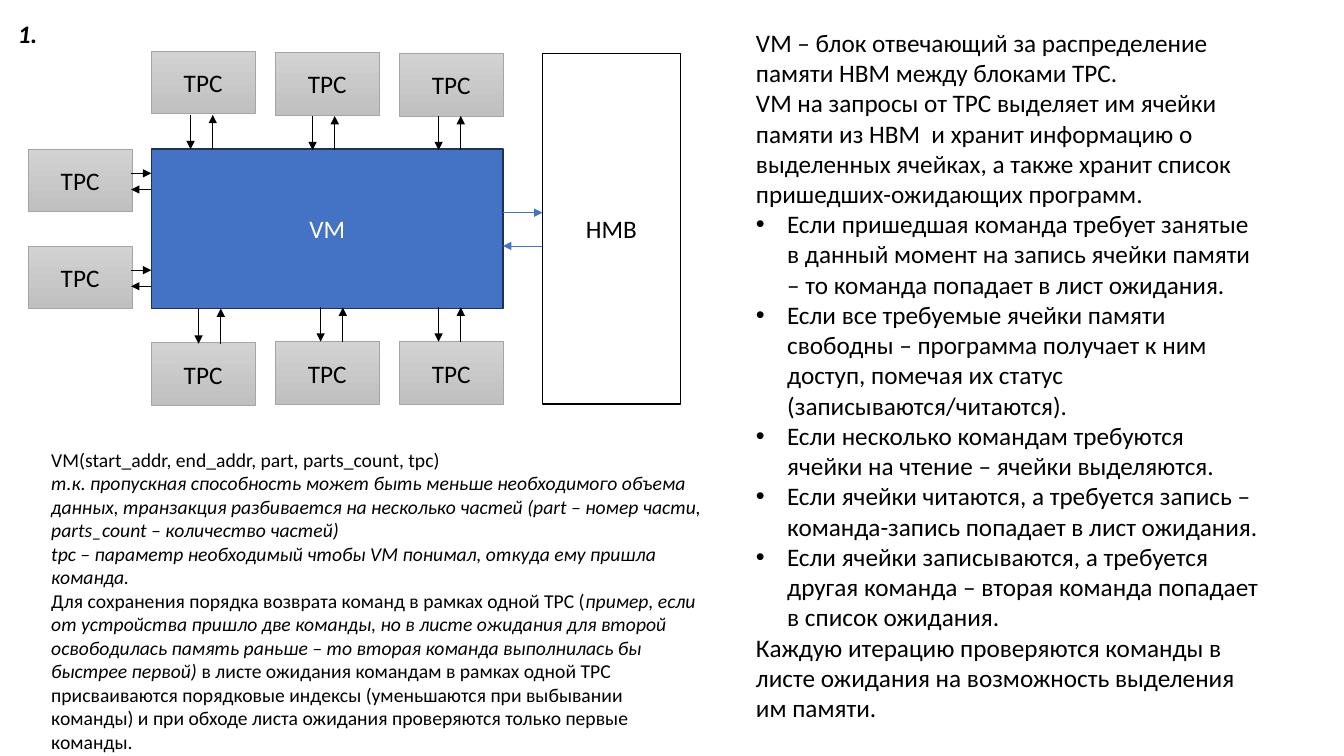
from lxml.etree import SubElement
from pptx import Presentation
from pptx.dml.color import RGBColor
from pptx.enum.shapes import MSO_CONNECTOR as Connector, MSO_SHAPE as Shape
from pptx.enum.text import MSO_ANCHOR as Anchor, MSO_AUTO_SIZE as AutoSize, PP_ALIGN as Align
from pptx.oxml.ns import qn
from pptx.util import Emu, Pt

PX = 9144
SLIDE_SIZE = (1333, 750)

THEME = {
    "font": "Calibri",
    "sizes": {"body": 18, "note": 14},
    "colors": {
        "ink": "000000", "paper": "FFFFFF", "accent": "4472C4", "accent_edge": "1E3256",
        "gray_top": "D2D2D2", "gray_bottom": "C0C0C0", "gray_edge": "A5A5A5",
    },
}

BLOCKS = [
    {"label": "VM", "at": (150, 148, 349, 158), "fill": ["accent"], "edge": ("accent_edge", 1), "ink": "paper"},
    {"label": "HMB", "at": (538, 53, 137, 348), "fill": ["paper"], "edge": ("ink", 1), "ink": "ink"},
]
TPC = {"label": "TPC", "fill": ["gray_top", "gray_bottom"], "edge": ("gray_edge", 0.5), "ink": "ink"}
TPC_SIZE = (103, 62)
TPC_LEFT, TPC_PITCH, TPC_SIDE_LEFT = 150, 123, 28
TPC_ROWS = [(51, 52, 53), (340, 339, 339)]
TPC_SIDE_TOPS = (148, 244)

VERTICAL_PAIRS = [(189, 114, 148), (310, 115, 149), (435, 115, 149),
                  (197, 306, 341), (318, 305, 339), (435, 305, 339)]
HORIZONTAL_PAIRS = [(130, 150, 172, 16, "ink"), (130, 150, 268, 16, "ink"), (499, 538, 211, 33, "accent")]
VERTICAL_GAP = 22

PLAIN, ITALIC, STRONG = {}, {"italic": True}, {"bold": True, "italic": True}
BULLET_INDENT = 31
TEXTS = [
    {"at": (740, 22, 523, 737), "size": "body", "paras": [
        (False, [("VM – блок отвечающий за распределение памяти HBM между блоками TPC.", PLAIN)]),
        (False, [("VM на запросы от TPC выделяет им ячейки памяти из HBM  и хранит информацию о выделенных "
                  "ячейках, а также хранит список пришедших-ожидающих программ.", PLAIN)]),
        (True, [("Если пришедшая команда требует занятые в данный момент на запись ячейки памяти – то "
                 "команда попадает в лист ожидания.", PLAIN)]),
        (True, [("Если все требуемые ячейки памяти свободны – программа получает к ним доступ, помечая "
                 "их статус (записываются/читаются).", PLAIN)]),
        (True, [("Если несколько командам требуются ячейки на чтение – ячейки выделяются.", PLAIN)]),
        (True, [("Если ячейки читаются, а требуется запись – команда-запись попадает в лист ожидания.", PLAIN)]),
        (True, [("Если ячейки записываются, а требуется другая команда – вторая команда попадает в "
                 "список ожидания.", PLAIN)]),
        (False, [("Каждую итерацию проверяются команды в листе ожидания на возможность выделения им "
                  "памяти.", PLAIN)]),
    ]},
    {"at": (41, 439, 667, 316), "size": "note", "paras": [
        (False, [("VM(start_addr, end_addr, part, parts_count, tpc)", PLAIN)]),
        (False, [("т.к. пропускная способность может быть меньше необходимого объема данных, транзакция "
                  "разбивается на несколько частей (part – номер части, parts_count – количество частей)", ITALIC)]),
        (False, [("tpc – параметр необходимый чтобы VM понимал, откуда ему пришла команда.", ITALIC)]),
        (False, [("Для сохранения порядка возврата команд в рамках одной TPC (", PLAIN),
                 ("пример, если от устройства пришло две команды, но в листе ожидания для второй "
                  "освободилась память раньше – то вторая команда выполнилась бы быстрее первой) ", ITALIC),
                 ("в листе ожидания командам в рамках одной TPC присваиваются порядковые индексы "
                  "(уменьшаются при выбывании команды) и при обходе листа ожидания проверяются только "
                  "первые команды.", PLAIN)]),
    ]},
    {"at": (8, 13, 77, 40), "size": "body", "paras": [(False, [("1.", STRONG)])]},
]


def emu(lengths):
    return [Emu(length * PX) for length in lengths]


def color(name):
    return RGBColor.from_string(THEME["colors"][name])


def apply(target, values):
    for name, value in values.items():
        setattr(target, name, value)


def add_span(para, text, size, ink, style):
    span = para.add_run()
    span.text = text
    apply(span.font, {"name": THEME["font"], "size": Pt(THEME["sizes"][size]), **style})
    span.font.color.rgb = color(ink)


def set_line(line, name, width):
    line.color.rgb = color(name)
    line.width = Pt(width)


def add_block(page, block, at):
    box = page.shapes.add_shape(Shape.RECTANGLE, *emu(at))
    box.shadow.inherit = False
    if len(block["fill"]) == 1:
        box.fill.solid()
        box.fill.fore_color.rgb = color(block["fill"][0])
    else:
        box.fill.gradient()
        box.fill.gradient_angle = 270
        for stop, name in zip(box.fill.gradient_stops, block["fill"]):
            stop.color.rgb = color(name)
    set_line(box.line, *block["edge"])
    box.text_frame.vertical_anchor = Anchor.MIDDLE
    para = box.text_frame.paragraphs[0]
    para.alignment = Align.CENTER
    add_span(para, block["label"], "body", block["ink"], PLAIN)


def add_arrow(page, start, end, ink):
    arrow = page.shapes.add_connector(Connector.STRAIGHT, *emu(start + end))
    set_line(arrow.line, ink, 0.5)
    properties = arrow._element.spPr
    SubElement(properties.find(qn("a:ln")), qn("a:tailEnd"), type="triangle")
    SubElement(properties, qn("a:effectLst"))


def add_arrow_pair(page, start, end, shift, ink):
    add_arrow(page, start, end, ink)
    back_start, back_end = [(x + shift[0], y + shift[1]) for x, y in (end, start)]
    add_arrow(page, back_start, back_end, ink)


def add_bullet(para):
    properties = para._p.get_or_add_pPr()
    properties.set("marL", str(BULLET_INDENT * PX))
    properties.set("indent", str(-BULLET_INDENT * PX))
    SubElement(properties, qn("a:buFont"), typeface="Arial")
    SubElement(properties, qn("a:buChar"), char="•")


def add_text(page, text):
    frame = page.shapes.add_textbox(*emu(text["at"])).text_frame
    apply(frame, {"word_wrap": True, "auto_size": AutoSize.SHAPE_TO_FIT_TEXT})
    for index, (bulleted, spans) in enumerate(text["paras"]):
        para = frame.add_paragraph() if index else frame.paragraphs[0]
        if bulleted:
            add_bullet(para)
        for words, style in spans:
            add_span(para, words, text["size"], "ink", style)


def main():
    deck = Presentation()
    deck.slide_width, deck.slide_height = emu(SLIDE_SIZE)
    page = deck.slides.add_slide(deck.slide_layouts[6])
    for block in BLOCKS:
        add_block(page, block, block["at"])
    corners = [(TPC_LEFT + column * TPC_PITCH, top) for row in TPC_ROWS for column, top in enumerate(row)]
    corners += [(TPC_SIDE_LEFT, top) for top in TPC_SIDE_TOPS]
    for corner in corners:
        add_block(page, TPC, corner + TPC_SIZE)
    for x, top, bottom in VERTICAL_PAIRS:
        add_arrow_pair(page, (x, top), (x, bottom), (VERTICAL_GAP, 0), "ink")
    for left, right, y, gap, ink in HORIZONTAL_PAIRS:
        add_arrow_pair(page, (left, y), (right, y), (0, gap), ink)
    for text in TEXTS:
        add_text(page, text)
    deck.save("out.pptx")


if __name__ == "__main__":
    main()
